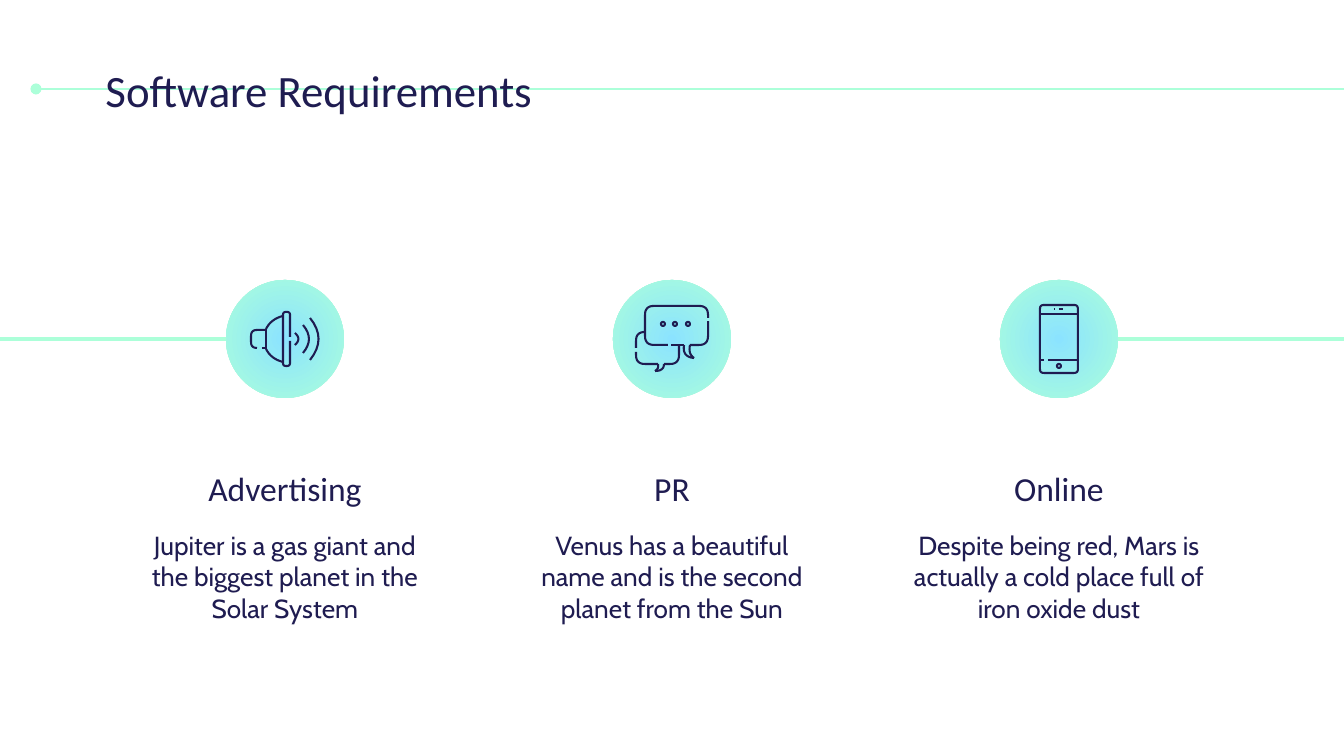
import math
import pptx
import pptx.util
import pptx.dml.color
import pptx.enum.dml
import pptx.enum.shapes
import pptx.enum.text
import pptx.oxml
import pptx.oxml.ns

COLORS = {"ink": "1F1C51", "mint": "ACFFD9", "sky": "8BE3FF", "white": "FFFFFF"}
TITLE = "Software Requirements"
CURVE = 99

SPEAKER = {
    "outlines": [
        [(3, [(5, 2), (5, 27), (-2, 27), (-2, -27), (5, -27), (5, -2)]),
         (CURVE, [(-2, -23), (-14, -20), (-19, -10)]),
         (0, [(-19, -10), (-19, 10)]),
         (CURVE, [(-19, 10), (-14, 20), (-2, 23)]),
         (6, [(-19, -9), (-34, -9), (-34, 9), (-28, 9)]),
         (0, [(-23, 9), (-19, 9)])],
        [(CURVE, [(10, -6), (17, 0), (10, 6)])],
        [(CURVE, [(18, -14), (30, 0), (18, 14)])],
        [(CURVE, [(25, -21), (42, 0), (25, 21)])],
    ],
    "dashes": [],
    "rings": [],
}
CHAT = {
    "outlines": [
        [(9, [(36, -18), (36, 6), (18, 6)]),
         (CURVE, [(18, 6), (16, 15), (22, 19)]),
         (CURVE, [(22, 19), (10, 18), (12, 6)]),
         (0, [(12, 6), (-1, 6)]),
         (9, [(-36, 13), (-36, 25), (-14, 25)]),
         (CURVE, [(-14, 25), (-13, 30), (-17, 32)]),
         (CURVE, [(-17, 32), (-8, 32), (-8, 25)]),
         (9, [(-8, 25), (7, 25), (7, 6)])],
        [(9, [(36, -21), (36, -33), (-27, -33), (-27, 6), (-4, 6)]),
         (9, [(-27, -7), (-36, -7), (-36, 9)])],
    ],
    "dashes": [],
    "rings": [(-9, -15), (3, -15), (16, -15)],
}
PHONE = {
    "outlines": [
        [(4, [(0, -34), (19, -34), (19, 34), (-19, 34), (-19, -34), (0, -34)]),
         (0, [(-19, -25), (19, -25)]),
         (0, [(-19, 21), (-15, 21)]),
         (0, [(-11, 21), (19, 21)])],
    ],
    "dashes": [((0, -30), (4, -30)), ((-5, -30), (-4, -30))],
    "rings": [(0, 27)],
}
COLUMNS = [
    ("Advertising", "Jupiter is a gas giant and the biggest planet in the Solar System", SPEAKER),
    ("PR", "Venus has a beautiful name and is the second planet from the Sun", CHAT),
    ("Online", "Despite being red, Mars is actually a cold place full of iron oxide dust", PHONE),
]
FIRST_CENTER, PITCH, CENTER_Y = 285, 387, 339
CIRCLE, COLUMN_WIDTH = 118, 325
ICON_WEIGHT = 1.1


def px(value):
    return pptx.util.Emu(round(value * 914400 / 134.4))


def rgb(name):
    return pptx.dml.color.RGBColor.from_string(COLORS[name])


def write(shape, text, *, size, font, anchor="TOP", align="LEFT", after=0):
    frame = shape.text_frame
    frame.word_wrap = True
    frame.auto_size = pptx.enum.text.MSO_AUTO_SIZE.NONE
    frame.vertical_anchor = getattr(pptx.enum.text.MSO_ANCHOR, anchor)
    for side in ("left", "top", "right", "bottom"):
        setattr(frame, "margin_" + side, pptx.util.Inches(0.1))
    frame.text = text
    paragraph = frame.paragraphs[0]
    paragraph.alignment = getattr(pptx.enum.text.PP_ALIGN, align)
    paragraph.space_before = pptx.util.Pt(0)
    paragraph.space_after = pptx.util.Pt(after)
    paragraph.font.size = pptx.util.Pt(size)
    paragraph.font.name = font
    paragraph.font.color.rgb = rgb("ink")


def add_line(shapes, start, end, color, weight):
    line = shapes.add_connector(
        pptx.enum.shapes.MSO_CONNECTOR.STRAIGHT, *map(px, (*start, *end)))
    line.line.color.rgb = rgb(color)
    line.line.width = pptx.util.Pt(weight)
    line.element.spPr.append(pptx.oxml.parse_xml(
        f'<a:effectLst {pptx.oxml.ns.nsdecls("a")}/>'))
    return line


def add_oval(shapes, center_x, center_y, diameter):
    oval = shapes.add_shape(
        pptx.enum.shapes.MSO_SHAPE.OVAL, px(center_x - diameter / 2),
        px(center_y - diameter / 2), px(diameter), px(diameter))
    oval.shadow.inherit = False
    return oval


def draw_in_ink(shape):
    shape.shadow.inherit = False
    shape.fill.background()
    shape.line.color.rgb = rgb("ink")
    shape.line.width = pptx.util.Pt(ICON_WEIGHT)


def toward(start, end, distance):
    length = math.dist(start, end)
    share = min(distance, length) / length
    return tuple(a + (b - a) * share for a, b in zip(start, end))


def round_corners(points, radius, steps=8):
    result = [points[0]]
    for before, corner, after in zip(points, points[1:], points[2:]):
        enter, leave = toward(corner, before, radius), toward(corner, after, radius)
        for step in range(steps + 1):
            t = step / steps
            result.append(tuple(
                (1 - t) ** 2 * a + 2 * t * (1 - t) * b + t ** 2 * c
                for a, b, c in zip(enter, corner, leave)))
    return result + [points[-1]]


def add_icon(shapes, icon, center_x, center_y):
    def place(points):
        return [(center_x + x, center_y + y) for x, y in points]

    group = shapes.add_group_shape()
    for strokes in icon["outlines"]:
        curves = [[(px(x), px(y)) for x, y in round_corners(place(points), radius)]
                  for radius, points in strokes]
        builder = group.shapes.build_freeform(*curves[0][0])
        for index, curve in enumerate(curves):
            if index:
                builder.move_to(*curve[0])
            builder.add_line_segments(curve[1:], close=False)
        draw_in_ink(builder.convert_to_shape())
    for dash in icon["dashes"]:
        add_line(group.shapes, *place(dash), "ink", ICON_WEIGHT)
    for x, y in place(icon["rings"]):
        draw_in_ink(add_oval(group.shapes, x, y, 4))


def add_badge(shapes, center_x, center_y):
    badge = add_oval(shapes, center_x, center_y, CIRCLE)
    badge.line.fill.background()
    badge.fill.gradient()
    for stop, color in zip(badge.fill.gradient_stops, ("sky", "mint")):
        stop.color.rgb = rgb(color)
    linear = badge.element.spPr.find(".//" + pptx.oxml.ns.qn("a:lin"))
    linear.getparent().replace(linear, pptx.oxml.parse_xml(
        f'<a:path {pptx.oxml.ns.nsdecls("a")} path="circle">'
        '<a:fillToRect l="50000" t="50000" r="50000" b="50000"/></a:path>'))


def main():
    presentation = pptx.Presentation()
    presentation.slide_width, presentation.slide_height = px(1344), px(756)
    slide = presentation.slides.add_slide(presentation.slide_layouts[5])
    slide.background.fill.solid()
    slide.background.fill.fore_color.rgb = rgb("white")
    shapes = slide.shapes

    title = shapes.title
    title.left, title.top, title.width, title.height = map(px, (92, 49, 894, 79))
    write(title, TITLE, size=24, font="Calibri")
    rule = add_line(shapes, (36, 89), (1357, 89), "mint", 1.5)
    rule.line._get_or_add_ln().append(pptx.oxml.parse_xml(
        f'<a:headEnd {pptx.oxml.ns.nsdecls("a")} type="oval"/>'))
    title.element.addprevious(rule.element)

    for index, (heading, description, icon) in enumerate(COLUMNS):
        center = FIRST_CENTER + index * PITCH
        left = center - COLUMN_WIDTH / 2
        body_box = shapes.add_textbox(*map(px, (left, 516, COLUMN_WIDTH, 169)))
        write(body_box, description, size=14, font="Cabin", align="CENTER", after=16)
        heading_box = shapes.add_textbox(*map(px, (left, 443, COLUMN_WIDTH, 79)))
        write(heading_box, heading, size=18, font="Calibri", anchor="BOTTOM", align="CENTER")
        add_badge(shapes, center, CENTER_Y)
        add_icon(shapes, icon, center, CENTER_Y)

    last_center = FIRST_CENTER + (len(COLUMNS) - 1) * PITCH
    for start, end in ((FIRST_CENTER - CIRCLE / 2, -32), (last_center + CIRCLE / 2, 1352)):
        add_line(shapes, (start, CENTER_Y), (end, CENTER_Y), "mint", 2.25)
    presentation.save("out.pptx")


if __name__ == "__main__":
    main()
